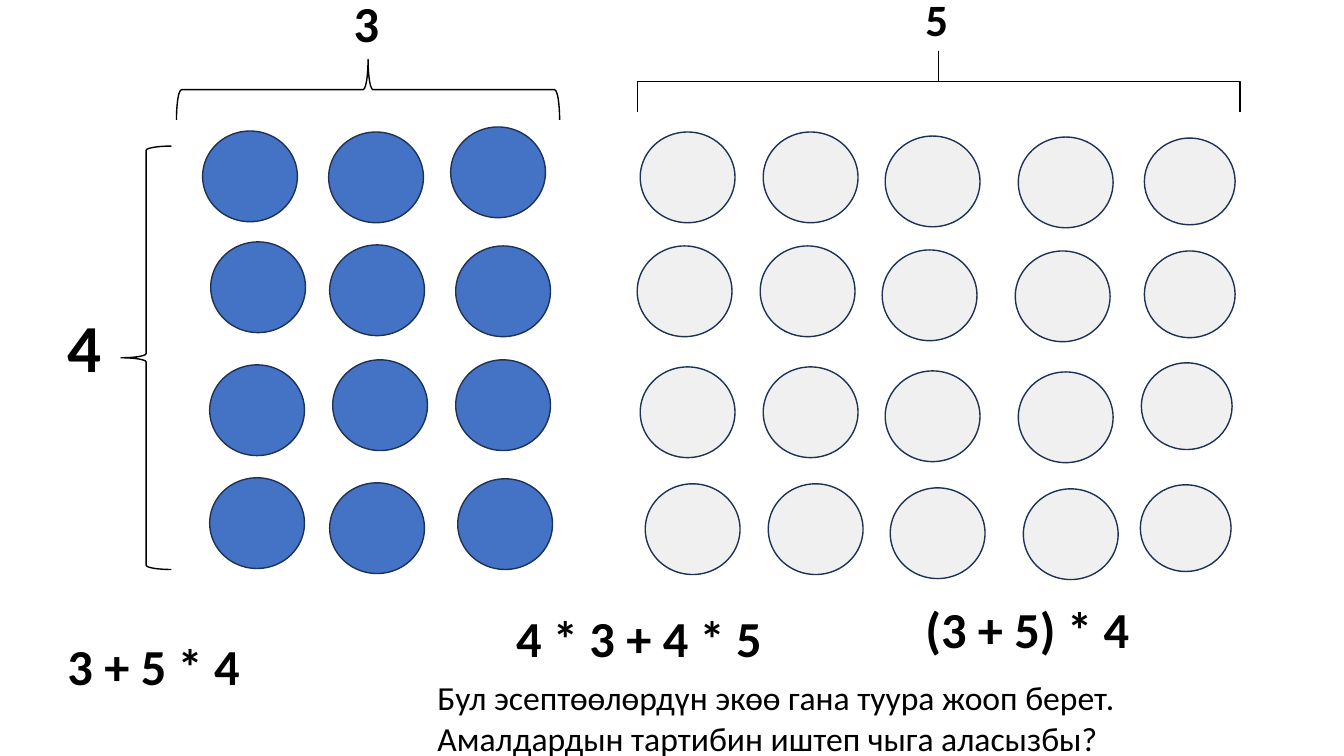
from collections import namedtuple

from pptx import Presentation
from pptx.dml.color import RGBColor
from pptx.enum.shapes import MSO_SHAPE
from pptx.enum.text import MSO_AUTO_SIZE
from pptx.util import Inches, Pt

COLORS = {"blue": "4472C4", "light": "F1F0F0", "outline": "1E3256", "black": "000000"}
FONT = "Calibri"
Box = namedtuple("Box", "left top width height")

# Hand-placed circles: (left, top) inside the region, row by row
BLUE_ROWS = [
    [(0, 0.04), (1.25, 0.05), (2.46, 0)],
    [(0.08, 1.14), (1.26, 1.17), (2.51, 1.18)],
    [(0.07, 2.36), (1.29, 2.31), (2.51, 2.31)],
    [(0.07, 3.48), (1.26, 3.53), (2.53, 3.49)],
]
# Each light row repeats the same four steps from its own start
LIGHT_STARTS = [(0.03, 0), (0, 1.13), (0.03, 2.33), (0.08, 3.49)]
LIGHT_STEPS = [(0, 0), (1.22, 0), (2.43, 0.04), (3.75, 0.05)]
LAST_COLUMN = [(5.05, 0.04), (5.05, 1.16), (5.02, 2.27), (5.01, 3.48)]


def add_outlined(slide, kind, box, line_color):
    shape = slide.shapes.add_shape(kind, *map(Inches, box))
    shape.shadow.inherit = False
    shape.line.color.rgb = RGBColor.from_string(COLORS[line_color])
    shape.line.width = Pt(1)
    return shape


def add_circle(slide, region, offset, color, width=0.94, rotation=0):
    box = Box(region.left + offset[0], region.top + offset[1], width, 0.9)
    circle = add_outlined(slide, MSO_SHAPE.OVAL, box, "outline")
    circle.fill.solid()
    circle.fill.fore_color.rgb = RGBColor.from_string(COLORS[color])
    circle.rotation = rotation


def add_blue_circles(slide, region):
    for row in BLUE_ROWS:
        for offset in row:
            add_circle(slide, region, offset, "blue")


def add_light_circles(slide, region):
    for start_left, start_top in LIGHT_STARTS:
        for step_left, step_top in LIGHT_STEPS:
            offset = (start_left + step_left, start_top + step_top)
            add_circle(slide, region, offset, "light")
    for offset in LAST_COLUMN:
        add_circle(slide, region, offset, "light", width=0.86, rotation=90)


def add_brace(slide, box, rotation=0, curve=None):
    brace = add_outlined(slide, MSO_SHAPE.LEFT_BRACE, box, "black")
    brace.fill.background()
    brace.rotation = rotation
    if curve is not None:
        brace.adjustments[0] = curve


def add_text(slide, box, lines, size, bold=True):
    frame = slide.shapes.add_textbox(*map(Inches, box)).text_frame
    frame.word_wrap = True
    frame.auto_size = MSO_AUTO_SIZE.SHAPE_TO_FIT_TEXT
    frame.text = "\n".join(lines)
    for para in frame.paragraphs:
        for span in para.runs:
            span.font.name = FONT
            span.font.size = Pt(size)
            span.font.bold = bold
            span.font.color.rgb = RGBColor.from_string(COLORS["black"])


def build_array_slide(slide):
    add_blue_circles(slide, Box(2.01, 1.26, 3.47, 4.43))
    add_light_circles(slide, Box(6.32, 1.31, 5.91, 4.43))

    add_brace(slide, Box(1.2, 1.45, 0.5, 4.2))
    add_brace(slide, Box(3.35, -1.01, 0.6, 3.8), rotation=90)
    add_brace(slide, Box(9.01, -2.18, 0.6, 5.98), rotation=90, curve=0)

    add_text(slide, Box(3.41, -0.13, 0.48, 0.71), ["3"], 36)
    add_text(slide, Box(9.08, -0.13, 0.48, 0.64), ["5"], 32)
    add_text(slide, Box(0.57, 2.98, 0.48, 0.91), ["4"], 48)

    add_text(slide, Box(0.57, 6.25, 2.84, 0.71), ["3 + 5 * 4"], 36)
    add_text(slide, Box(5.02, 5.97, 3.17, 0.71), ["4 * 3 + 4 * 5"], 36)
    add_text(slide, Box(9.08, 5.88, 2.84, 0.71), ["(3 + 5) * 4"], 36)
    question = [
        "Бул эсептөөлөрдүн экөө гана туура жооп берет.",
        "Амалдардын тартибин иштеп чыга аласызбы?",
    ]
    add_text(slide, Box(4.24, 6.67, 7.45, 0.91), question, 24, bold=False)


def main():
    deck = Presentation()
    deck.slide_width = Inches(13.33)
    deck.slide_height = Inches(7.5)
    build_array_slide(deck.slides.add_slide(deck.slide_layouts[6]))
    deck.save("out.pptx")


if __name__ == "__main__":
    main()
